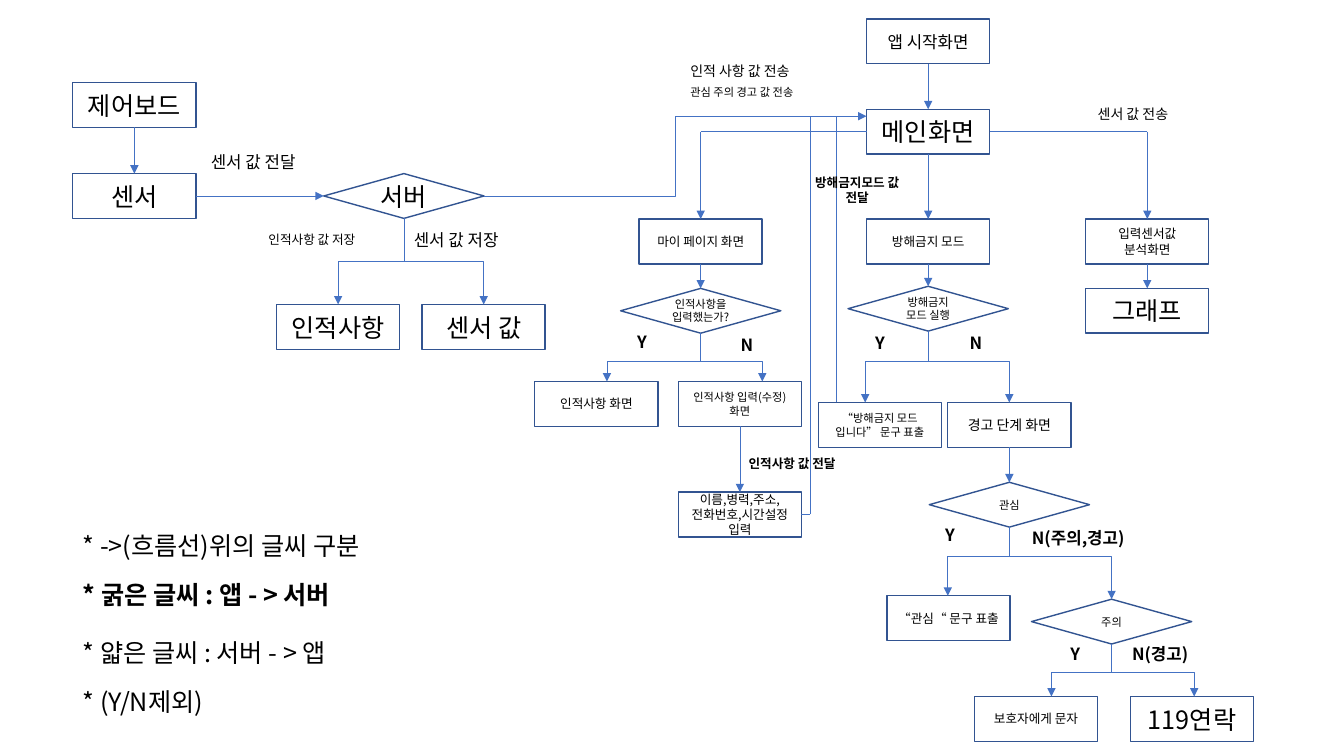
import pptx
import pptx.util
import pptx.dml.color
import pptx.enum.shapes
import pptx.enum.text
import pptx.oxml.ns
import lxml.etree

Pt = pptx.util.Pt
RGBColor = pptx.dml.color.RGBColor
Shapes = pptx.enum.shapes.MSO_SHAPE
Connectors = pptx.enum.shapes.MSO_CONNECTOR
Align = pptx.enum.text.PP_ALIGN
qn = pptx.oxml.ns.qn

FONT = "Noto Sans CJK KR"
BLACK = RGBColor(0x00, 0x00, 0x00)
WHITE = RGBColor(0xFF, 0xFF, 0xFF)
BORDER = RGBColor(0x32, 0x54, 0x91)
FLOW = RGBColor(0x44, 0x72, 0xC4)

BOX_WIDTH, DIAMOND_WIDTH, NODE_HEIGHT = 88, 114.5, 32
TOP, LEFT, BOTTOM, RIGHT = range(4)

# Boxes: text, font size, centre x, top
BOXES = {
    "board": ("제어보드", 18, 96, 59),
    "sensor": ("센서", 18, 96, 124),
    "person data": ("인적사항", 18, 241.5, 217.5),
    "sensor data": ("센서 값", 18, 345.5, 217.5),
    "start": ("앱 시작화면", 12, 663, 13.5),
    "main": ("메인화면", 18, 663, 78),
    "my page": ("마이 페이지 화면", 9, 500.5, 156.5),
    "quiet mode": ("방해금지 모드", 9, 663, 156.5),
    "analysis": ("입력센서값 분석화면", 9, 819.5, 156.5),
    "graph": ("그래프", 18, 819.5, 206),
    "person view": ("인적사항 화면", 9, 426, 272.5),
    "person edit": ("인적사항 입력(수정)화면", 8, 528.5, 272.5),
    "person fields": ("이름,병력,주소,전화번호,시간설정 입력", 9, 528.5, 351.5),
    "quiet notice": ("“방해금지 모드 입니다” 문구 표출", 8, 628.5, 287.5),
    "alert stage": ("경고 단계 화면", 10, 721, 287.5),
    "interest notice": ("“관심“ 문구 표출", 9, 677.5, 425.5),
    "guardian": ("보호자에게 문자", 9, 740, 497.5),
    "emergency": ("119연락", 18, 851.5, 497.5),
}

DIAMONDS = {
    "server": ("서버", 18, 288.5, 124),
    "person entered": ("인적사항을 입력했는가?", 8, 500.5, 206),
    "quiet running": ("방해금지 모드 실행", 8, 663, 204.5),
    "interest": ("관심", 8, 721, 344.5),
    "caution": ("주의", 8, 794, 428),
}

# Routes: stops are (node, side) or (x, y); the flag adds an arrowhead
ROUTES = [
    ([("board", BOTTOM), ("sensor", TOP)], True),
    ([("sensor", RIGHT), ("server", LEFT)], True),
    ([("start", BOTTOM), ("main", TOP)], True),
    ([("main", BOTTOM), ("quiet mode", TOP)], True),
    ([("main", LEFT), (500.5, 94), ("my page", TOP)], True),
    ([("main", RIGHT), (819.5, 94), ("analysis", TOP)], True),
    ([("my page", BOTTOM), ("person entered", TOP)], True),
    ([("quiet mode", BOTTOM), ("quiet running", TOP)], True),
    ([("analysis", BOTTOM), ("graph", TOP)], True),
    ([("person edit", BOTTOM), ("person fields", TOP)], True),
    ([("alert stage", BOTTOM), ("interest", TOP)], True),
    ([("person fields", RIGHT), (578.5, 367.5), (578.5, 83)], False),
    ([(597.5, 83), (597.5, 287.5)], False),
]

# Branches: diamond, height of the bend, (target, x where the arrow lands)
BRANCHES = [
    ("server", 186.5, [("person data", 241.5), ("sensor data", 345.5)]),
    ("person entered", 258, [("person view", 433.5), ("person edit", 544.5)]),
    ("quiet running", 258, [("quiet notice", 618), ("alert stage", 721)]),
    ("interest", 397.5, [("interest notice", 677), ("caution", 794)]),
    ("caution", 480.5, [("guardian", 751), ("emergency", 853)]),
]

# Labels: text, size, bold, alignment, left, top, width, height
LABELS = [
    ("센서 값 전달", 12, False, Align.LEFT, 143.5, 104.5, 88, 21.5),
    ("센서 값 저장", 12, False, Align.LEFT, 288.5, 160.5, 88, 21.5),
    ("인적사항 값 저장", 9, False, Align.CENTER, 169, 162, 107.5, 18),
    ("인적 사항 값 전송", 10, False, Align.LEFT, 486, 41, 99.5, 19.5),
    ("관심 주의 경고 값 전송", 8, False, Align.LEFT, 486, 57.5, 99.5, 17),
    ("센서 값 전송", 10, False, Align.LEFT, 777, 72, 99.5, 19.5),
    ("방해금지모드 값 전달", 9, True, Align.CENTER, 569.5, 121.5, 85.5, 29),
    ("인적사항 값 전달", 9, True, Align.CENTER, 512, 322, 107.5, 18),
    ("Y", 12, True, Align.LEFT, 448, 233.5, 18, 21.5),
    ("N", 12, True, Align.LEFT, 522, 235.5, 18, 21.5),
    ("Y", 12, True, Align.LEFT, 618, 234, 18, 21.5),
    ("N", 12, True, Align.LEFT, 685.5, 234, 18, 21.5),
    ("Y", 12, True, Align.LEFT, 668, 371.5, 18, 21.5),
    ("N(주의,경고)", 12, True, Align.LEFT, 730, 373.5, 90.5, 21.5),
    ("Y", 12, True, Align.LEFT, 757.5, 456, 18, 21.5),
    ("N(경고)", 12, True, Align.LEFT, 801.5, 456.5, 90.5, 21.5),
    ("* ->(흐름선)위의 글씨 구분", 18, False, Align.LEFT, 52, 375, 240.5, 51),
    ("* 굵은 글씨 : 앱 - > 서버", 18, True, Align.LEFT, 52, 410.5, 224.5, 51),
    ("* 얇은 글씨 : 서버 - > 앱", 18, False, Align.LEFT, 52, 451.5, 224.5, 51),
    ("* (Y/N제외)", 18, False, Align.LEFT, 52, 486.5, 240.5, 29),
]

presentation = pptx.Presentation()
presentation.slide_width, presentation.slide_height = Pt(960), Pt(540)
slide = presentation.slides.add_slide(presentation.slide_layouts[6])
nodes = {}


def write(shape, text, size, bold=False, alignment=Align.CENTER):
    frame = shape.text_frame
    frame.word_wrap = True
    paragraph = frame.paragraphs[0]
    paragraph.text = text
    paragraph.alignment = alignment
    font = paragraph.font
    font.name, font.size, font.bold = FONT, Pt(size), bold
    font.color.rgb = BLACK
    properties = paragraph._p.pPr.find(qn("a:defRPr"))
    lxml.etree.SubElement(properties, qn("a:ea"), typeface=FONT)


def add_node(preset, width, text, size, center, top):
    shape = slide.shapes.add_shape(
        preset, Pt(center - width / 2), Pt(top), Pt(width), Pt(NODE_HEIGHT))
    shape.shadow.inherit = False
    shape.fill.solid()
    shape.fill.fore_color.rgb = WHITE
    shape.line.color.rgb = BORDER
    shape.line.width = Pt(1)
    write(shape, text, size)
    return shape


def add_flow(kind, start, end, arrow):
    connector = slide.shapes.add_connector(kind, *(Pt(v) for v in (*start, *end)))
    connector.line.color.rgb = FLOW
    connector.line.width = Pt(0.5)
    if arrow:
        line = connector.line._get_or_add_ln()
        lxml.etree.SubElement(line, qn("a:tailEnd"), type="triangle")
    lxml.etree.SubElement(connector._element.spPr, qn("a:effectLst"))
    return connector


def add_branch(start, end, bend):
    """Elbow that leaves downwards, turns at height bend and lands downwards."""
    connector = add_flow(Connectors.ELBOW, start, end, True)
    (x1, y1), (x2, y2) = start, end
    across, down = abs(x2 - x1), y2 - y1
    connector.left = Pt((x1 + x2 - down) / 2)
    connector.top = Pt((y1 + y2 - across) / 2)
    connector.width, connector.height = Pt(down), Pt(across)
    properties = connector._element.spPr
    frame = properties.find(qn("a:xfrm"))
    frame.attrib.pop("flipH", None)
    frame.set("rot", "5400000" if x2 < x1 else "16200000")
    if x2 > x1:
        frame.set("flipH", "1")
    adjustments = properties.find(qn("a:prstGeom")).get_or_add_avLst()
    share = round((bend - y1) / down * 100000)
    lxml.etree.SubElement(adjustments, qn("a:gd"), name="adj1", fmla=f"val {share}")


# Boxes and diamonds
for name, node in BOXES.items():
    nodes[name] = add_node(Shapes.RECTANGLE, BOX_WIDTH, *node)
for name, node in DIAMONDS.items():
    nodes[name] = add_node(Shapes.FLOWCHART_DECISION, DIAMOND_WIDTH, *node)

# Straight routes, joined to the nodes they touch
for stops, arrow in ROUTES:
    for index, (start, end) in enumerate(zip(stops, stops[1:])):
        joins = [isinstance(stop[0], str) for stop in (start, end)]
        places = [(0, 0) if joined else stop for joined, stop in zip(joins, (start, end))]
        is_last = index == len(stops) - 2
        connector = add_flow(Connectors.STRAIGHT, *places, arrow and is_last)
        if joins[0]:
            connector.begin_connect(nodes[start[0]], start[1])
        if joins[1]:
            connector.end_connect(nodes[end[0]], end[1])

# Server to main screen
add_flow(Connectors.ELBOW, (345.75, 140), (619, 83), True)

# Branches below the diamonds
for name, bend, targets in BRANCHES:
    center, top = DIAMONDS[name][2:]
    for target, x in targets:
        add_branch((center, top + NODE_HEIGHT), (x, nodes[target].top.pt), bend)

# Labels and legend
for text, size, bold, alignment, *place in LABELS:
    box = slide.shapes.add_textbox(*(Pt(value) for value in place))
    write(box, text, size, bold, alignment)

presentation.save("out.pptx")
